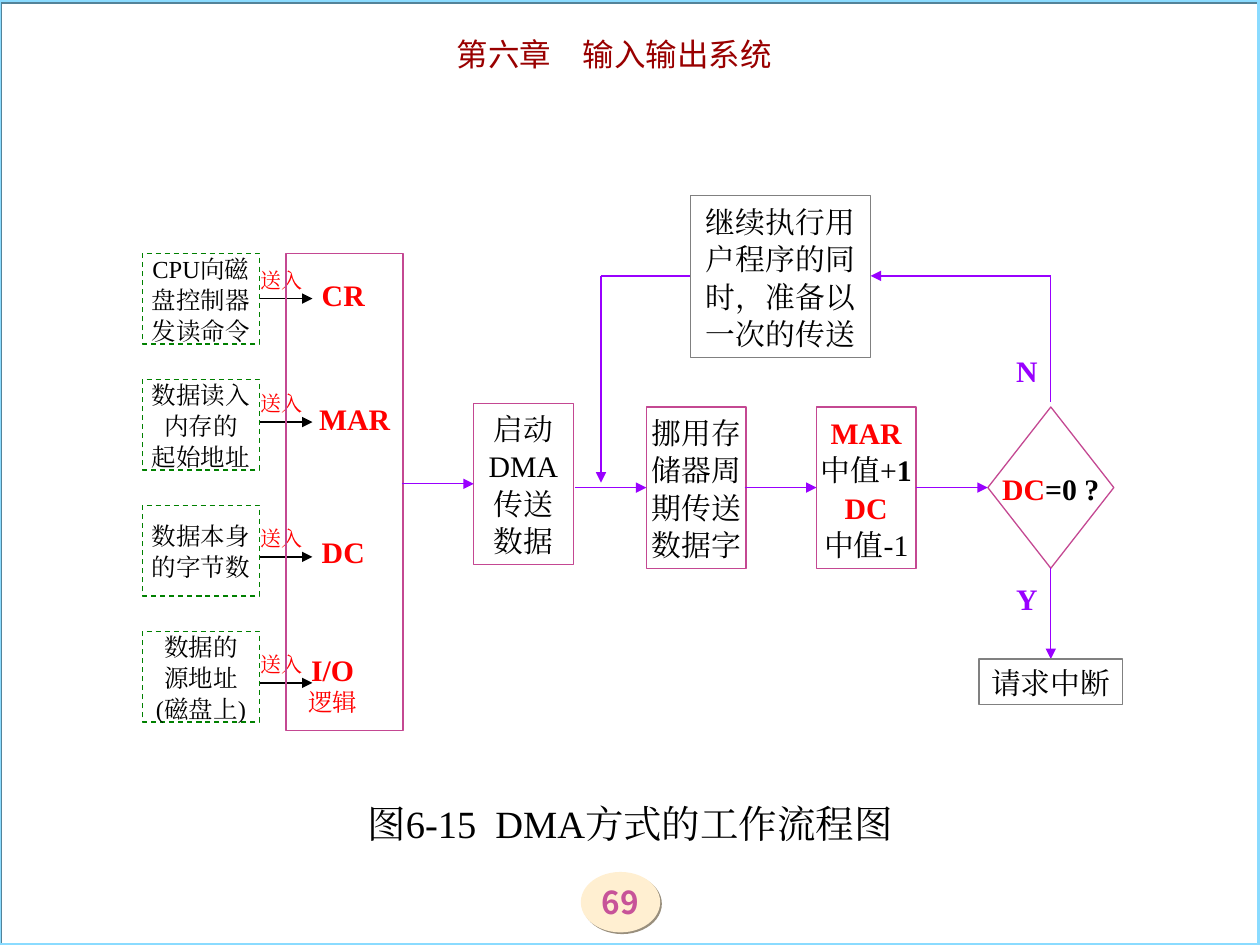
import lxml.etree
import pptx
import pptx.dml.color
import pptx.enum.dml
import pptx.enum.shapes
import pptx.enum.text
import pptx.oxml.ns
import pptx.util

COLUMNS, ROWS = 100, 75
SERIF = "Times New Roman"
BLACK, RED, VIOLET = "000000", "FF0000", "9900FF"
GREEN, PINK, GRAY = "008000", "C44892", "808080"
SHAPES = pptx.enum.shapes.MSO_SHAPE
ANCHORS = pptx.enum.text.MSO_ANCHOR


def rgb(value):
    return pptx.dml.color.RGBColor.from_string(value)


def add_child(parent, tag, **attributes):
    return lxml.etree.SubElement(parent, pptx.oxml.ns.qn(tag), **attributes)


class FlowChart:
    """Draws on one slide, in columns and rows of a 100 by 75 grid."""

    def __init__(self, presentation):
        self.column = presentation.slide_width / COLUMNS
        self.row = presentation.slide_height / ROWS
        self.slide = presentation.slides.add_slide(presentation.slide_layouts[1])

    def place(self, left, top, width, height):
        return [round(length * unit) for length, unit in
                zip((left, top, width, height), (self.column, self.row) * 2)]

    def style_run(self, run, size, color, bold, font):
        run.font.size = pptx.util.Pt(size)
        run.font.bold = bold
        run.font.color.rgb = rgb(color)
        run.font.name = font
        add_child(run.font._element, "a:ea", typeface=font)

    def set_text(self, shape, lines, size, color=BLACK, bold=False, font=SERIF,
                 anchor=ANCHORS.MIDDLE, wrap=False, margins=(0.09, 0.04), spacing=None):
        """A line is a string, or a list of (text, colour, bold) parts."""
        frame = shape.text_frame
        frame.word_wrap = wrap
        frame.auto_size = pptx.enum.text.MSO_AUTO_SIZE.NONE
        frame.vertical_anchor = anchor
        frame.margin_left = frame.margin_right = pptx.util.Inches(margins[0])
        frame.margin_top = frame.margin_bottom = pptx.util.Inches(margins[1])
        for index, line in enumerate(lines):
            paragraph = frame.paragraphs[0] if index == 0 else frame.add_paragraph()
            paragraph.alignment = pptx.enum.text.PP_ALIGN.CENTER
            paragraph.space_before = pptx.util.Pt(0)
            if spacing:
                paragraph.line_spacing = spacing
            parts = [(line, color, bold)] if isinstance(line, str) else line
            paragraph.text = parts[0][0]
            for text, _, _ in parts[1:]:
                paragraph.add_run().text = text
            for run, (_, part_color, part_bold) in zip(paragraph.runs, parts):
                self.style_run(run, size, part_color, part_bold, font)

    def placeholder(self, index, area, text, size, color, font):
        shape = self.slide.placeholders[index]
        shape.left, shape.top, shape.width, shape.height = self.place(*area)
        self.set_text(shape, [text], size, color, font=font, anchor=ANCHORS.TOP,
                      wrap=True, margins=(0.1, 0.05))
        properties = shape.text_frame.paragraphs[0]._p.get_or_add_pPr()
        properties.set("marL", "0")
        properties.set("indent", "0")
        add_child(properties, "a:buNone")

    def box(self, area, lines=(), line=PINK, size=17, kind=SHAPES.RECTANGLE,
            fill=None, weight=0.75, dashed=False, **text_style):
        shape = self.slide.shapes.add_shape(kind, *self.place(*area))
        shape.shadow.inherit = False
        if fill:
            shape.fill.solid()
            shape.fill.fore_color.rgb = rgb(fill)
        else:
            shape.fill.background()
        if line:
            shape.line.color.rgb = rgb(line)
            shape.line.width = pptx.util.Pt(weight)
        else:
            shape.line.fill.background()
        if dashed:
            shape.line.dash_style = pptx.enum.dml.MSO_LINE.DASH
        self.set_text(shape, lines, size, **{"spacing": 1.05, **text_style})
        return shape

    def hard_shadow(self, shape, color):
        effects = shape.element.spPr.find(pptx.oxml.ns.qn("a:effectLst"))
        shadow = add_child(effects, "a:outerShdw", blurRad="0", algn="ctr",
                           dist=str(pptx.util.Pt(1.4)), dir="2700000", rotWithShape="0")
        add_child(shadow, "a:srgbClr", val=color)

    def label(self, area, lines, size=17, color=RED, bold=True):
        shape = self.slide.shapes.add_textbox(*self.place(*area))
        self.set_text(shape, lines, size, color, bold, anchor=ANCHORS.TOP)
        return shape

    def line(self, left, top, across=0, down=0, color=VIOLET, arrow=True):
        """Runs from a point, by a signed number of columns and rows."""
        connector = self.slide.shapes.add_connector(
            pptx.enum.shapes.MSO_CONNECTOR.STRAIGHT,
            *self.place(left, top, left + across, top + down))
        connector.line.color.rgb = rgb(color)
        connector.line.width = pptx.util.Pt(0.75)
        properties = connector.element.spPr
        if arrow:
            add_child(properties.find(pptx.oxml.ns.qn("a:ln")), "a:tailEnd", type="triangle")
        add_child(properties, "a:effectLst")


def draw_page(chart):
    frame = chart.box((-0.1, 0, 100, 75), line="8ADBFF", weight=2.25)
    chart.hard_shadow(frame, "538399")
    number = chart.box((46.1, 69.2, 6.3, 4.8), ["69"], line=None, size=18,
                       kind=SHAPES.OVAL, fill="FFEFD1", color="C75399", bold=True,
                       font="Noto Sans CJK SC", margins=(0, 0), spacing=None)
    chart.hard_shadow(number, "998F7D")
    chart.placeholder(0, (20.8, 2.3, 55.9, 4), "第六章　输入输出系统", 18, "990000",
                      "Noto Sans CJK JP")
    chart.placeholder(1, (0, 63, 100, 5.2), "图6-15  DMA方式的工作流程图", 22, BLACK, SERIF)


def draw_registers(chart):
    # Source lines, arrow row, register lines, register area
    registers = [
        (["CPU向磁", "盘控制器", "发读命令"], 23.7, ["CR"], (24.6, 21.6, 5.3, 3.7)),
        (["数据读入", "内存的", "起始地址"], 33.5, ["MAR"], (24.1, 31.4, 8.1, 3.7)),
        (["数据本身", "的字节数"], 44.2, ["DC"], (24.6, 42, 5.3, 3.7)),
        (["数据的", "源地址", "(磁盘上)"], 54.2, ["I/O", "逻辑"], (23.4, 51.3, 6, 6)),
    ]
    for index, (source, row, register, area) in enumerate(registers):
        chart.box((11.3, 20.1 + 10 * index, 9.3, 7.2), source, GREEN, 14, dashed=True)
        chart.line(20.6, row, across=4.2, color=BLACK)
        chart.label((19.8, row - 2.9, 5.1, 2.9), ["送入"], 12, bold=False)
        name = chart.label(area, register)
        for paragraph in name.text_frame.paragraphs[1:]:
            paragraph.runs[0].font.size = pptx.util.Pt(14)
            paragraph.runs[0].font.bold = False
    chart.box((22.7, 20.1, 9.3, 37.9))


def draw_steps(chart):
    count_lines = [[("MAR", RED, True)], [("中值+", BLACK, False), ("1", BLACK, True)],
                   [("DC", RED, True)], "中值-1"]
    test_lines = [[("DC", RED, True), ("=0 ?", BLACK, True)]]
    steps = [
        (37.6, 32, 7.9, ["启动", "DMA", "传送", "数据"], SHAPES.RECTANGLE),
        (51.3, 32.3, 7.9, ["挪用存", "储器周", "期传送", "数据字"], SHAPES.RECTANGLE),
        (64.8, 32.3, 7.9, count_lines, SHAPES.RECTANGLE),
        (78.4, 32.3, 10, test_lines, SHAPES.DIAMOND),
    ]
    for left, top, width, lines, kind in steps:
        chart.box((left, top, width, 12.8), lines, kind=kind)
        chart.line(left - 5.7, top + 6.4, across=5.7)


def draw_branches(chart):
    loop_row, loop_column, test_column = 21.9, 47.7, 83.4
    chart.box((54.8, 15.5, 14.3, 12.9),
              ["继续执行用", "户程序的同", "时，准备以", "一次的传送"], GRAY)
    chart.line(test_column, loop_row, down=10, arrow=False)
    chart.line(test_column, loop_row, across=-14.3)
    chart.line(loop_column, loop_row, across=7.1, arrow=False)
    chart.line(loop_column, loop_row, down=16.4)
    chart.line(test_column, 45.1, down=7.2)
    chart.box((77.7, 52.3, 11.4, 3.6), ["请求中断"], GRAY)
    for text, top in (("N", 27.6), ("Y", 45.7)):
        chart.label((79.8, top, 3.4, 3.7), [text], color=VIOLET)


def main():
    presentation = pptx.Presentation()
    presentation.slide_width = pptx.util.Inches(10)
    presentation.slide_height = pptx.util.Inches(7.5)
    chart = FlowChart(presentation)
    draw_page(chart)
    draw_registers(chart)
    draw_steps(chart)
    draw_branches(chart)
    presentation.save("out.pptx")


if __name__ == "__main__":
    main()
